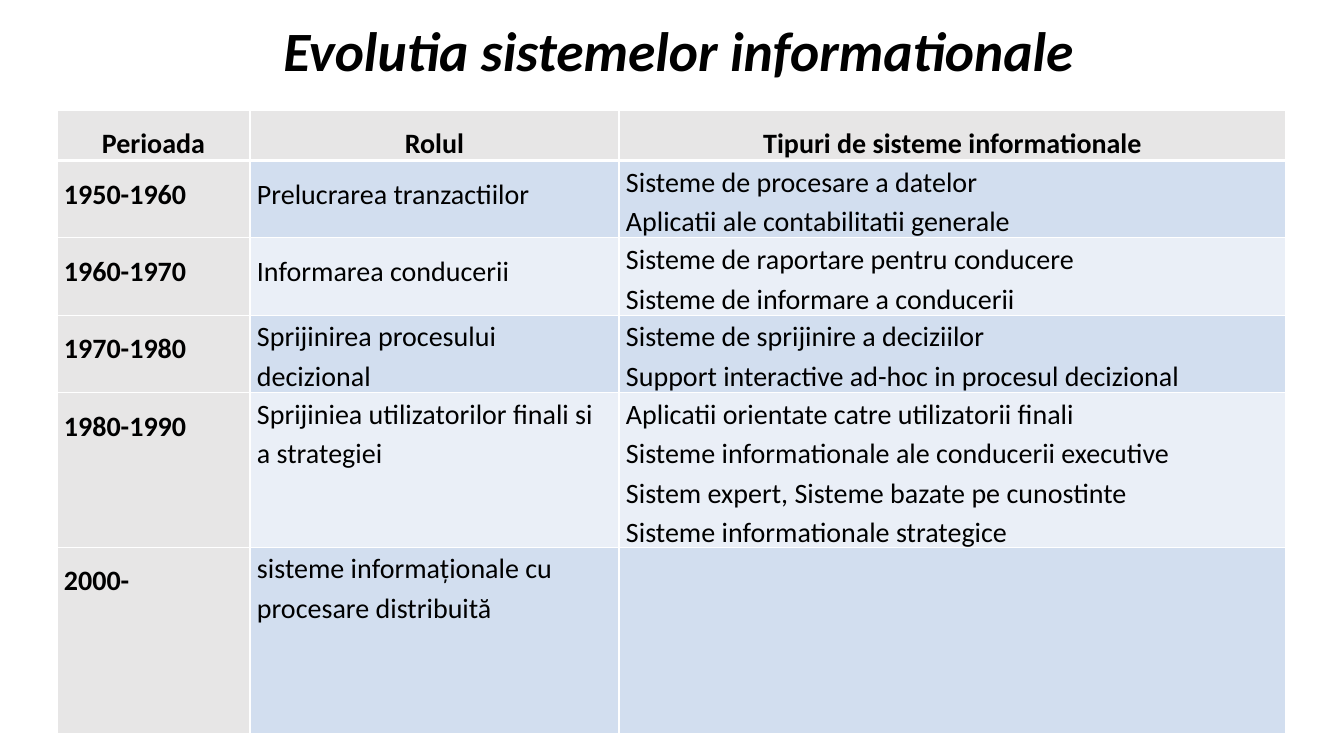
"""Build a slide with a table on the evolution of information systems."""
from dataclasses import dataclass

from lxml import etree
from pptx import Presentation
from pptx import util as u
from pptx.dml import color
from pptx.enum import text
from pptx.oxml import ns

SCALE = 914400 / 100.8
FONT = "Calibri"
BLACK, WHITE, GREY = "000000", "FFFFFF", "E7E6E6"
BANDS = ("D2DEEF", "EAEFF7")
COLS = (193, 369, 667)
LEFT, TOP = 57, 110
ALIGN = text.PP_ALIGN


@dataclass(frozen=True)
class Era:
    """One period with its role, systems, height and role line spacing."""
    years: str
    role: str
    kinds: tuple[str, ...]
    high: int
    lead: float = 1.15


@dataclass(frozen=True)
class Look:
    """The format of the text in a cell."""
    align: ALIGN
    lead: float
    after: int = 8
    bold: bool = False


HEADS = ("Perioada", "Rolul", "Tipuri de sisteme informationale")
ERAS = (
    Era("1950-1960", "Prelucrarea tranzactiilor",
        ("Sisteme de procesare a datelor",
         "Aplicatii ale contabilitatii generale"), 74, 1.5),
    Era("1960-1970", "Informarea conducerii",
        ("Sisteme de raportare pentru conducere",
         "Sisteme de informare a conducerii"), 74, 1.5),
    Era("1970-1980", "Sprijinirea procesului decizional",
        ("Sisteme de sprijinire a deciziilor",
         "Support interactive ad-hoc in procesul decizional"), 74),
    Era("1980-1990", "Sprijiniea utilizatorilor finali si a strategiei",
        ("Aplicatii orientate catre utilizatorii finali",
         "Sisteme informationale ale conducerii executive",
         "Sistem expert, Sisteme bazate pe cunostinte",
         "Sisteme informationale strategice"), 146),
    Era("2000- ", "sisteme informaționale cu procesare distribuită", (), 186),
)
HEAD = Look(ALIGN.CENTER, 1.5, bold=True)
YEARS = Look(ALIGN.JUSTIFY, 1.5, bold=True)
KINDS = Look(ALIGN.JUSTIFY, 1.15, after=0)


def px(n: int) -> u.Emu:
    """Turn pixels into EMU."""
    return u.Emu(round(n * SCALE))


def rgb(code: str) -> color.RGBColor:
    """Turn a hex string into a colour."""
    return color.RGBColor.from_string(code)


def put(item: object, vals: dict[str, object]) -> None:
    """Set each named attribute of an object."""
    for name, val in vals.items():
        setattr(item, name, val)


def write(frame, lines: tuple[str, ...], look: Look, size: float,
          slant: bool = False) -> None:
    """Write lines as paragraphs in one format."""
    for i, line in enumerate(lines):
        par = frame.add_paragraph() if i else frame.paragraphs[0]
        put(par, {"alignment": look.align, "line_spacing": look.lead,
                  "space_before": u.Pt(0), "space_after": u.Pt(look.after)})
        run = par.add_run()
        run.text = line
        put(run.font, {"name": FONT, "size": u.Pt(size), "bold": look.bold,
                       "italic": slant})
        run.font.color.rgb = rgb(BLACK)


def edge(cell, base: int) -> None:
    """Draw white borders with the given bottom width in points."""
    props = cell._tc.get_or_add_tcPr()
    for i, (side, wide) in enumerate(zip("LRTB", (1, 1, 1, base))):
        line = etree.Element(ns.qn(f"a:ln{side}"), w=str(u.Pt(wide)))
        fill = etree.SubElement(line, ns.qn("a:solidFill"))
        etree.SubElement(fill, ns.qn("a:srgbClr"), val=WHITE)
        props.insert(i, line)


def fill(cell, lines: tuple[str, ...], look: Look, tint: str,
         base: int = 1) -> None:
    """Give a cell its text, fill and borders."""
    put(cell, {"margin_left": px(7), "margin_right": px(7),
               "margin_top": 0, "margin_bottom": 0})
    cell.fill.solid()
    cell.fill.fore_color.rgb = rgb(tint)
    edge(cell, base)
    write(cell.text_frame, lines, look, 20)


def title(slide) -> None:
    """Add the slide title."""
    frame = slide.shapes.add_textbox(px(93), px(19), px(1159), px(70)).text_frame
    put(frame, {"word_wrap": True, "vertical_anchor": text.MSO_ANCHOR.MIDDLE})
    write(frame, (" Evolutia sistemelor informationale",),
          Look(ALIGN.CENTER, 0.9, 0, True), 39.6, True)


def grid(slide) -> None:
    """Add the table of periods."""
    highs = (44, *(era.high for era in ERAS))
    table = slide.shapes.add_table(
        len(highs), len(COLS), px(LEFT), px(TOP),
        px(sum(COLS)), px(sum(highs))).table
    put(table, {"first_row": False, "horz_banding": False})
    for col, wide in zip(table.columns, COLS):
        col.width = px(wide)
    for row, high in zip(table.rows, highs):
        row.height = px(high)
    for i, head in enumerate(HEADS):
        fill(table.cell(0, i), (head,), HEAD, GREY, 3)
    for i, era in enumerate(ERAS):
        band = BANDS[i % 2]
        years, role, kinds = table.rows[i + 1].cells
        fill(years, (era.years,), YEARS, GREY)
        fill(role, (era.role,), Look(ALIGN.LEFT, era.lead), band)
        fill(kinds, era.kinds, KINDS, band)


def main() -> None:
    """Build and save the slide."""
    deck = Presentation()
    put(deck, {"slide_width": px(1344), "slide_height": px(756)})
    slide = deck.slides.add_slide(deck.slide_layouts[6])
    title(slide)
    grid(slide)
    deck.save("out.pptx")


if __name__ == "__main__":
    main()
